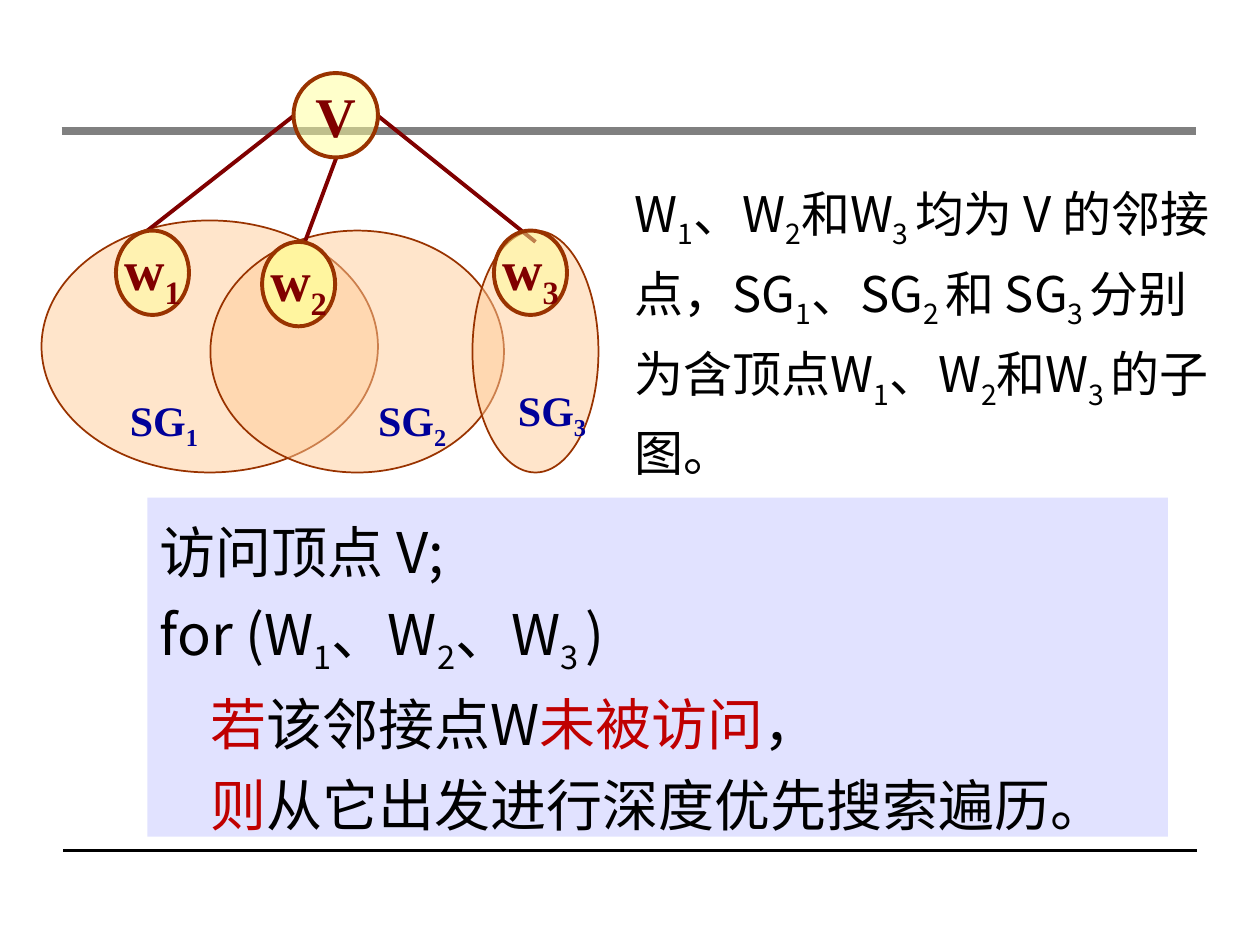
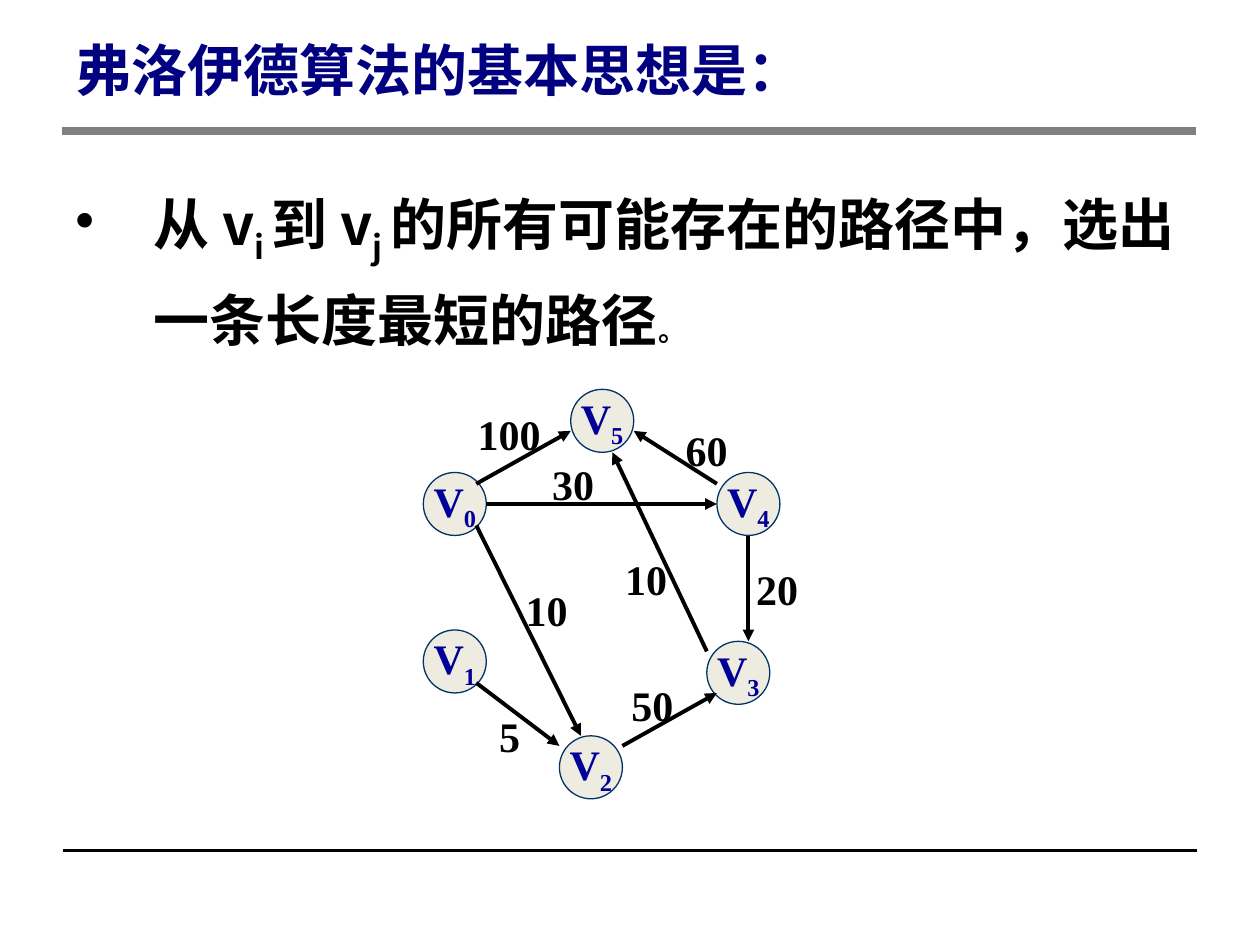
"""Builds two slides on depth-first search and the idea of Floyd's algorithm."""
from lxml import etree
from pptx import Presentation
from pptx.dml.color import RGBColor
from pptx.enum.shapes import MSO_CONNECTOR, MSO_SHAPE
from pptx.enum.text import MSO_ANCHOR, PP_ALIGN
from pptx.oxml.ns import qn
from pptx.util import Inches, Pt

COLORS = {
    "black": "000000", "band": "808080", "title": "000080", "label": "000099",
    "maroon": "800000", "brown": "993300", "yellow": "FFFF99", "peach": "FFCC99",
    "lavender": "E1E2FF", "red": "C00000", "node": "EEECE1", "node_line": "003366",
}
SANS, SERIF = "Noto Sans CJK SC", "Times New Roman"


def write(box, lines, size, color, font=SERIF, bold=True, align=PP_ALIGN.LEFT,
          anchor=MSO_ANCHOR.TOP, wrap=True, spacing=1.0):
    """Fill a shape; pieces between bars are subscript after _ and red after *."""
    frame = box.text_frame
    frame.word_wrap = wrap
    frame.vertical_anchor = anchor
    for number, line in enumerate(lines):
        para = frame.add_paragraph() if number else frame.paragraphs[0]
        para.alignment, para.line_spacing = align, spacing
        for piece in line.split("|"):
            span = para.add_run()
            span.text = piece.lstrip("_*")
            span.font.size, span.font.bold, span.font.name = Pt(size), bold, font
            tone = "red" if piece.startswith("*") else color
            span.font.color.rgb = RGBColor.from_string(COLORS[tone])
            properties = span.font._element
            etree.SubElement(properties, qn("a:ea"), typeface=font)
            if piece.startswith("_"):
                properties.set("baseline", "-25000")


def draw(page, kind, place, fill=None, line=None, width=1, alpha=100, arrow=False):
    """Add a shape at (left, top, width, height) or a line from (x, y) to (x, y)."""
    place = [Inches(value) for value in place]
    if kind == "line":
        item = page.shapes.add_connector(MSO_CONNECTOR.STRAIGHT, *place)
        etree.SubElement(item._element.spPr, qn("a:effectLst"))
    else:
        item = page.shapes.add_shape(kind, *place)
        item.shadow.inherit = False
        item.fill.solid()
        item.fill.fore_color.rgb = RGBColor.from_string(COLORS[fill])
        if alpha < 100:
            color = item._element.spPr.find(".//" + qn("a:srgbClr"))
            etree.SubElement(color, qn("a:alpha"), val=str(alpha * 1000))
    if line:
        item.line.color.rgb = RGBColor.from_string(COLORS[line])
        item.line.width = Pt(width)
    else:
        item.line.fill.background()
    if arrow:
        etree.SubElement(item.line._get_or_add_ln(), qn("a:tailEnd"), type="triangle")
    return item


deck = Presentation()
deck.slide_width, deck.slide_height = Inches(10), Inches(7.5)
pages = [deck.slides.add_slide(deck.slide_layouts[6]) for _ in range(2)]
for page in pages:
    draw(page, "line", (0.5, 6.75, 9.5, 6.75), line="black", width=2)
    draw(page, "line", (0.49, 1.04, 9.49, 1.04), line="band", width=5)

search, floyd = pages
centered = {"align": PP_ALIGN.CENTER, "anchor": MSO_ANCHOR.MIDDLE, "wrap": False}

subgraphs = [(0.33, 1.75, 2.67, 2), (1.67, 1.83, 2.33, 1.92), (3.75, 1.83, 1, 1.92)]
for place in subgraphs:
    draw(search, MSO_SHAPE.OVAL, place, "peach", "brown", 1, 50)
for place in [(2.33, 0.92, 1.17, 1.83), (2.67, 1.25, 2.42, 1.92), (3, 0.92, 4.25, 1.92)]:
    draw(search, "line", place, line="maroon", width=2.25)
vertices = [
    ("V", 2.33, 0.58, 0.67, 50), ("w|_1", 0.92, 1.83, 0.58, 50),
    ("w|_2", 2.08, 1.92, 0.58, 75), ("w|_3", 3.92, 1.83, 0.58, 50),
]
for name, left, top, width, alpha in vertices:
    vertex = draw(search, MSO_SHAPE.OVAL, (left, top, width, 0.67), "yellow", "brown", 2.25, alpha)
    write(vertex, [name], 32, "maroon", **centered)
for number, (left, top) in enumerate([(0.86, 3.08), (2.83, 3.08), (3.94, 3)], 1):
    label = search.shapes.add_textbox(Inches(left), Inches(top), Inches(0.81), Inches(0.5))
    write(label, [f"SG|_{number}"], 24, "label", align=PP_ALIGN.RIGHT)

explanation = search.shapes.add_textbox(Inches(4.94), Inches(1.3), Inches(4.77), Inches(2.36))
write(explanation, [
    "W|_1|、W|_2|和W|_3 |均为 V 的邻接点，SG|_1|、SG|_2 |和 SG|_3 |"
    "分别为含顶点W|_1|、W|_2|和W|_3 |的子图。"
], 28, "black", SANS, False, spacing=1.2)

steps = draw(search, MSO_SHAPE.RECTANGLE, (1.17, 3.95, 8.1, 2.69), "lavender")
write(steps, [
    "访问顶点 V;",
    "for (W|_1|、W|_2|、W|_3 |)",
    "*若|该邻接点W|*未被访问|，",
    "*则|从它出发进行深度优先搜索遍历。",
], 32, "black", SANS, False, spacing=1.2)
for para in steps.text_frame.paragraphs[2:]:
    para._p.get_or_add_pPr().set("marL", str(Inches(0.4)))

title = floyd.shapes.add_textbox(Inches(0.5), Inches(0.24), Inches(6.06), Inches(0.6))
write(title, ["弗洛伊德算法的基本思想是："], 32, "title", SANS,
      anchor=MSO_ANCHOR.MIDDLE, spacing=Pt(40))

idea = floyd.shapes.add_textbox(Inches(0.5), Inches(1.27), Inches(9.08), Inches(1.5))
write(idea, ["从 v|_i |到 v|_j |的所有可能存在的路径中，选出一条长度最短的路径|。"],
      32, "black", SANS, spacing=1.3)
para = idea.text_frame.paragraphs[0]
para.runs[-1].font.size = Pt(16)
bullet = para._p.get_or_add_pPr()
bullet.set("marL", str(Inches(0.62)))
bullet.set("indent", str(-Inches(0.62)))
etree.SubElement(bullet, qn("a:buChar"), char="•")

nodes = [(3.36, 3.75), (3.36, 5), (4.44, 5.84), (5.61, 5.09), (5.69, 3.75), (4.53, 3.09)]
for number, (left, top) in enumerate(nodes):
    node = draw(floyd, MSO_SHAPE.OVAL, (left, top, 0.5, 0.5), "node", "node_line", 0.75)
    write(node, [f"V|_{number}"], 24, "label", **centered)

edges = [
    ("100", (3.78, 3.84, 4.53, 3.42), 3.69, 3.19),
    ("30", (3.86, 4, 5.69, 4), 4.28, 3.59),
    ("10", (3.78, 4.17, 4.61, 5.84), 4.07, 4.59),
    ("5", (3.78, 5.42, 4.44, 5.92), 3.86, 5.59),
    ("50", (4.94, 5.92, 5.69, 5.5), 4.91, 5.34),
    ("20", (5.94, 4.25, 5.94, 5.09), 5.9, 4.42),
    ("60", (5.69, 3.84, 5.03, 3.42), 5.34, 3.32),
    ("10", (5.61, 5.17, 4.86, 3.59), 4.86, 4.34),
]
for weight, ends, left, top in edges:
    draw(floyd, "line", ends, line="black", width=2.25, arrow=True)
    width = 0.2 + len(weight) / 6
    label = floyd.shapes.add_textbox(Inches(left), Inches(top), Inches(width), Inches(0.5))
    write(label, [weight], 24, "black", align=PP_ALIGN.RIGHT, wrap=False)

deck.save("out.pptx")
